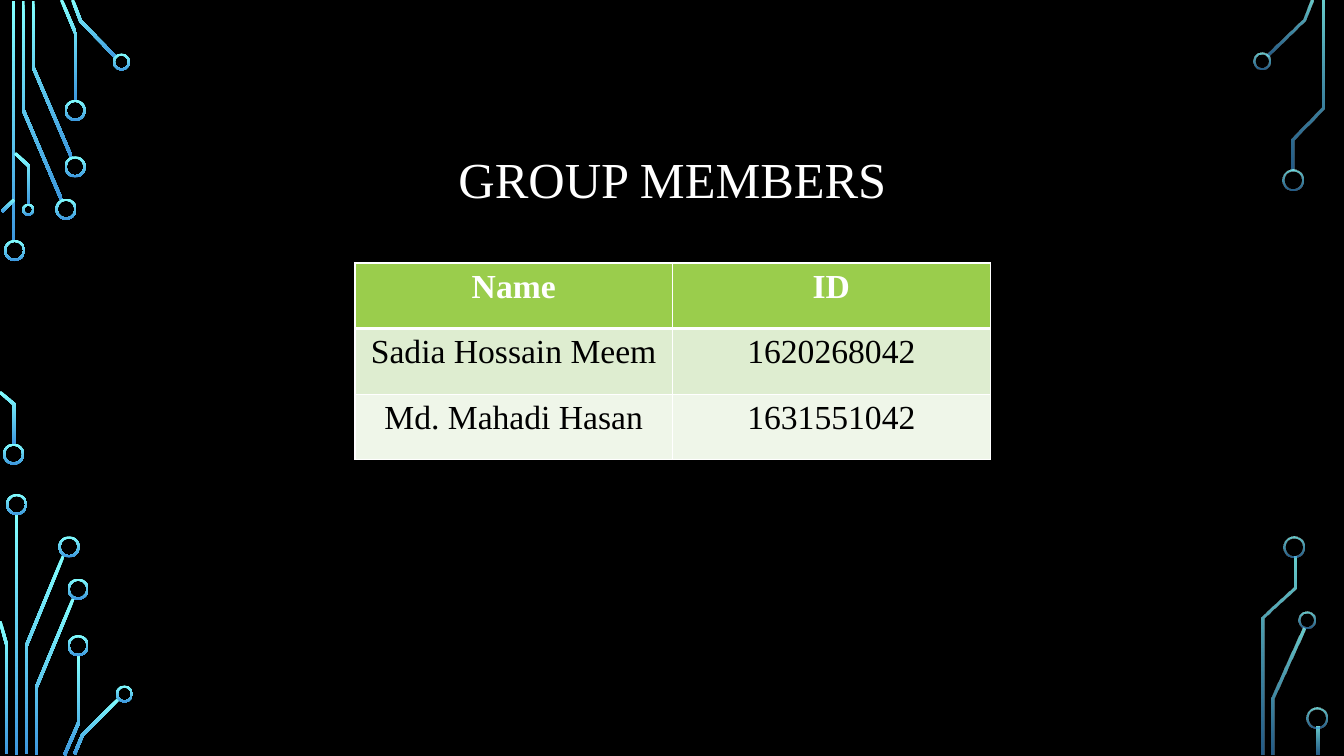
from math import hypot

from lxml import etree
from pptx import Presentation
from pptx import util as u
from pptx.dml import color
from pptx.enum import shapes, text
from pptx.oxml import ns

PX = 9144
FONT = "Times New Roman"
TRACE_WIDTH = 3
RING_WIDTH = 2

CIRCUITS = [
    dict(
        box=(0, 0), opacities=(100, 100),
        bars=[(12, 1, 239)],
        traces=[
            [(61, 198), (23, 109), (23, 1)],
            [(71, 156), (33, 67), (33, 1)],
            [(75, 100), (75, 33), (61, 0)],
            [(115, 57), (80, 21), (72, 0)],
            [(2, 210), (14, 198)],
            [(14, 441), (14, 401), (0, 389)],
            [(29, 203), (29, 165), (15, 152)],
        ],
        rings=[(4, 238, 21), (3, 440, 21), (55, 197, 21), (64, 155, 21),
               (64, 99, 21), (112, 53, 17), (22, 202, 12)],
    ),
    dict(
        box=(0, 490), opacities=(100, 100),
        bars=[(15, 20, 239)],
        traces=[
            [(26, 258), (26, 151), (63, 61)],
            [(7, 258), (7, 151), (0, 126)],
            [(36, 259), (36, 192), (73, 103)],
            [(64, 259), (78, 227), (78, 160)],
            [(74, 258), (82, 239), (118, 203)],
        ],
        rings=[(6, 0, 21), (58, 42, 21), (67, 84, 21), (67, 140, 21), (115, 190, 17)],
    ),
    dict(
        box=(1243, 0), opacities=(80, 60),
        bars=[],
        traces=[
            [(14, 55), (50, 20), (58, 0)],
            [(39, 169), (39, 138), (69, 107), (69, 1)],
        ],
        rings=[(0, 52, 17), (29, 168, 21)],
    ),
    dict(
        box=(1251, 532), opacities=(80, 60),
        bars=[(55, 189, 28)],
        traces=[
            [(12, 217), (12, 161), (42, 91)],
            [(2, 217), (2, 81), (33, 51), (33, 20)],
        ],
        rings=[(37, 75, 17), (22, 0, 21), (45, 170, 21)],
    ),
]

MEMBERS = [
    ("Name", "ID"),
    ("Sadia Hossain Meem", "1620268042"),
    ("Md. Mahadi Hasan", "1631551042"),
]
ROW_FILLS = ["9ACD4C", "DEEDD0", "EFF6E9"]


def emu(*lengths):
    """Turn px lengths into EMU."""
    return [u.Emu(round(length * PX)) for length in lengths]


def rgb(value):
    """Return the colour for a hex string."""
    return color.RGBColor.from_string(value)


def style_text(para, size, hue, bold=False):
    """Centre a paragraph and format its runs."""
    para.alignment = text.PP_ALIGN.CENTER
    for span in para.runs:
        span.font.name = FONT
        span.font.size = u.Pt(size)
        span.font.bold = bold
        span.font.color.rgb = rgb(hue)


def glow(shape, opacities):
    """Give a shape the vertical cyan to blue gradient."""
    shape.shadow.inherit = False
    shape.line.fill.background()
    shape.fill.gradient()
    shape.fill.gradient_angle = 270
    for stop, hue in zip(shape.fill.gradient_stops, ("82FFFF", "3D97DE")):
        stop.color.rgb = rgb(hue)
    for node, opacity in zip(shape._element.iter(ns.qn("a:srgbClr")), opacities):
        etree.SubElement(node, ns.qn("a:alpha"), val=str(opacity * 1000))


def outline(points):
    """Return the mitred outline of a trace along its centre points."""
    normals = []
    for (x1, y1), (x2, y2) in zip(points, points[1:]):
        length = hypot(x2 - x1, y2 - y1)
        normals.append(((y1 - y2) / length, (x2 - x1) / length))
    near, far = [], []
    befores, afters = normals[:1] + normals, normals + normals[-1:]
    for (x, y), (ax, ay), (bx, by) in zip(points, befores, afters):
        reach = TRACE_WIDTH / 2 / (1 + ax * bx + ay * by)
        dx, dy = (ax + bx) * reach, (ay + by) * reach
        near.append((x + dx, y + dy))
        far.append((x - dx, y - dy))
    return near + far[::-1]


def add_circuit(page, box, opacities, bars, traces, rings):
    """Draw the bars, traces and rings of one corner from its top left."""
    left, top = box
    for x, y, height in bars:
        place = emu(left + x, top + y, TRACE_WIDTH, height)
        glow(page.shapes.add_shape(shapes.MSO_SHAPE.RECTANGLE, *place), opacities)
    for trace in traces:
        corners = [emu(left + x, top + y) for x, y in outline(trace)]
        builder = page.shapes.build_freeform(*corners[0])
        builder.add_line_segments(corners[1:], close=True)
        glow(builder.convert_to_shape(), opacities)
    for x, y, size in rings:
        place = emu(left + x, top + y, size, size)
        ring = page.shapes.add_shape(shapes.MSO_SHAPE.DONUT, *place)
        ring.adjustments[0] = RING_WIDTH / size
        glow(ring, opacities)


def add_title(page, box, words):
    """Place the centred title in its box."""
    frame = page.shapes.add_textbox(*emu(*box)).text_frame
    frame.word_wrap = True
    frame.vertical_anchor = text.MSO_ANCHOR.MIDDLE
    frame.text = words
    frame.paragraphs[0].line_spacing = 0.9
    style_text(frame.paragraphs[0], 36, "FFFFFF")


def add_borders(cell, top, bottom):
    """Rule a cell in white with the given top and bottom widths."""
    props = cell._tc.get_or_add_tcPr()
    for side, width in (("L", 1), ("R", 1), ("T", top), ("B", bottom)):
        line = etree.SubElement(props, ns.qn(f"a:ln{side}"), w=str(u.Pt(width)))
        fill = etree.SubElement(line, ns.qn("a:solidFill"))
        etree.SubElement(fill, ns.qn("a:srgbClr"), val="FFFFFF")


def add_members(page, box):
    """Fill the table of members, headed by its first row."""
    frame = page.shapes.add_table(len(MEMBERS), len(MEMBERS[0]), *emu(*box))
    for row, values in enumerate(MEMBERS):
        heading = row == 0
        for column, value in enumerate(values):
            cell = frame.table.cell(row, column)
            add_borders(cell, 3 if row == 1 else 1, 3 if heading else 1)
            cell.fill.solid()
            cell.fill.fore_color.rgb = rgb(ROW_FILLS[row])
            cell.text_frame.text = value
            hue = "FFFFFF" if heading else "000000"
            style_text(cell.text_frame.paragraphs[0], 24, hue, heading)


def main():
    """Build and save the slide."""
    deck = Presentation()
    deck.slide_width, deck.slide_height = u.Inches(13.33), u.Inches(7.5)
    page = deck.slides.add_slide(deck.slide_layouts[6])
    page.background.fill.solid()
    page.background.fill.fore_color.rgb = rgb("000000")
    for circuit in CIRCUITS:
        add_circuit(page, **circuit)
    add_title(page, (92, 40, 1150, 281), "GROUP MEMBERS")
    add_members(page, (352, 261, 630, 195))
    deck.save("out.pptx")


if __name__ == "__main__":
    main()
